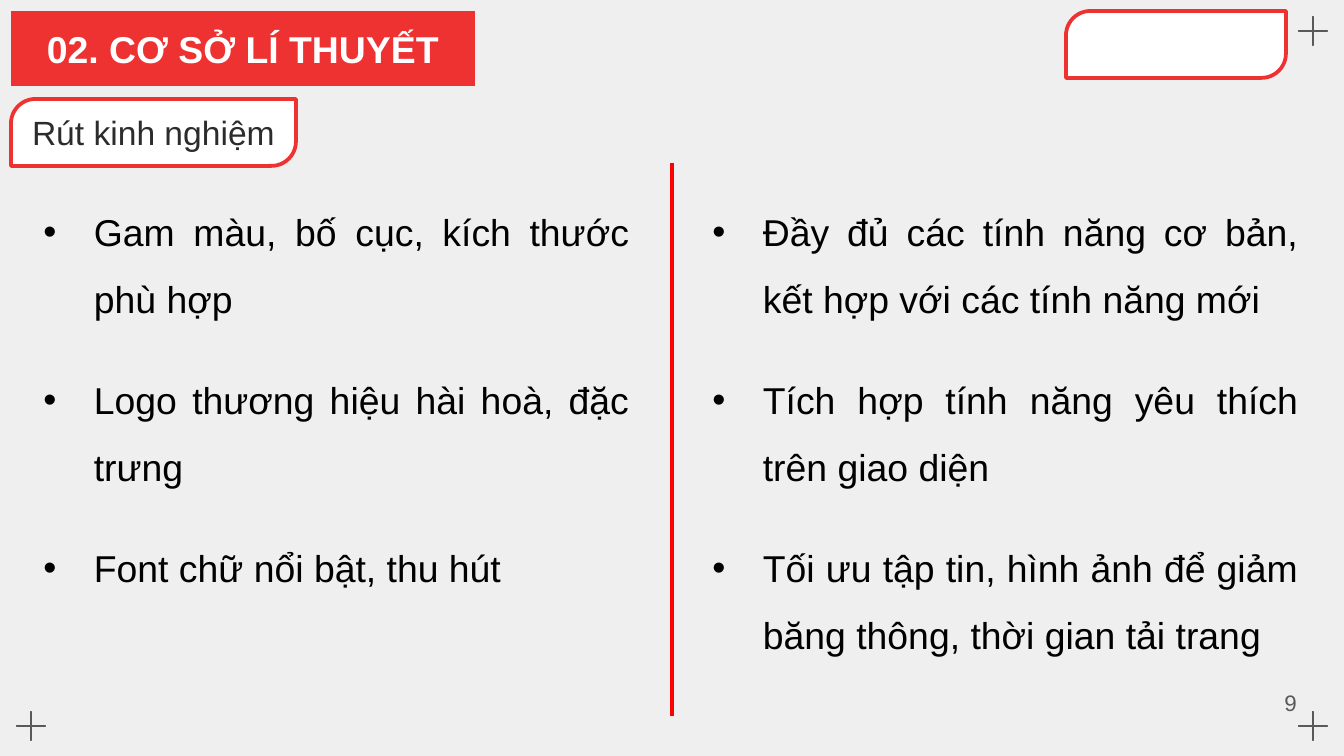
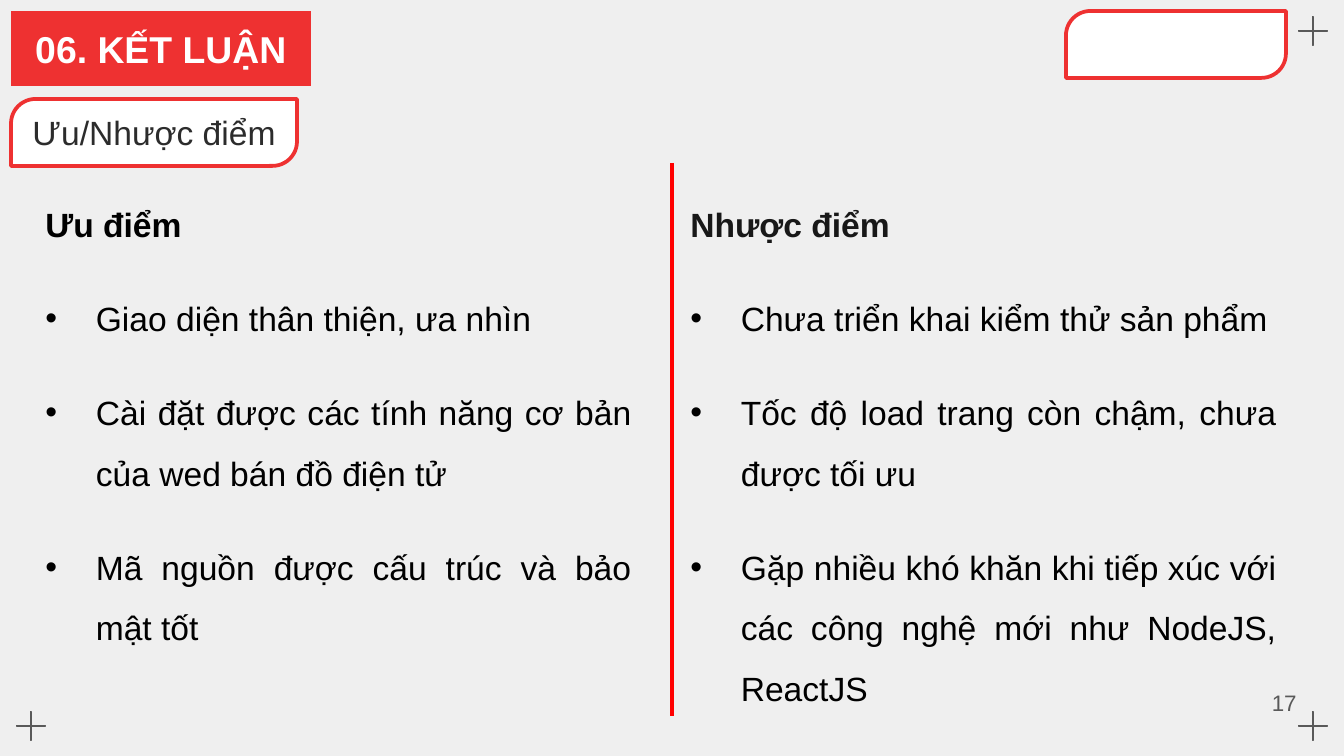
"""Build two two-column slides that share tabs, corner crosses and a divider."""
import copy
import pptx
import pptx.dml.color
import pptx.enum.shapes
import pptx.enum.text
import pptx.oxml
import pptx.oxml.ns
import pptx.util

PX = 914400 / 134.4
COLOURS = {
    "paper": "EFEFEF",
    "red": "EE3131",
    "divider": "FF0000",
    "white": "FFFFFF",
    "black": "000000",
    "soft_black": "181818",
    "subtitle": "2C2C2C",
    "grey": "595959",
}
RGB = {name: pptx.dml.color.RGBColor.from_string(value) for name, value in COLOURS.items()}
SHAPE = pptx.enum.shapes.MSO_SHAPE
ALIGN = pptx.enum.text.PP_ALIGN
MIDDLE = pptx.enum.text.MSO_ANCHOR.MIDDLE
NO_FIT = pptx.enum.text.MSO_AUTO_SIZE.NONE
DRAWING = pptx.oxml.ns.nsdecls("a")

PAGES = [
    {
        "title": "02. CƠ SỞ LÍ THUYẾT", "title_width": 464,
        "subtitle": "Rút kinh nghiệm", "subtitle_width": 285,
        "number": "9", "size": 20,
        "columns": [
            {"place": (30, 180, 613, 413), "items": [
                "Gam màu, bố cục, kích thước phù hợp",
                "Logo thương hiệu hài hoà, đặc trưng",
                "Font chữ nổi bật, thu hút"]},
            {"place": (699, 180, 613, 480), "items": [
                "Đầy đủ các tính năng cơ bản, kết hợp với các tính năng mới",
                "Tích hợp tính năng yêu thích trên giao diện",
                "Tối ưu tập tin, hình ảnh để giảm băng thông, thời gian tải trang"]},
        ],
    },
    {
        "title": "06. KẾT LUẬN", "title_width": 300,
        "subtitle": "Ưu/Nhược điểm", "subtitle_width": 286,
        "number": "17", "size": 18,
        "columns": [
            {"place": (32, 177, 613, 474), "heading": "Ưu điểm", "heading_colour": "black", "items": [
                "Giao diện thân thiện, ưa nhìn",
                "Cài đặt được các tính năng cơ bản của wed bán đồ điện tử",
                "Mã nguồn được cấu trúc và bảo mật tốt"]},
            {"place": (677, 177, 613, 535), "heading": "Nhược điểm", "heading_colour": "soft_black", "items": [
                "Chưa triển khai kiểm thử sản phẩm",
                "Tốc độ load trang còn chậm, chưa được tối ưu",
                "Gặp nhiều khó khăn khi tiếp xúc với các công nghệ mới như NodeJS, ReactJS"]},
        ],
    },
]


def px(*lengths):
    """Turn pixel lengths into EMU."""
    return [pptx.util.Emu(round(length * PX)) for length in lengths]


def write(para, text, size, colour, align, bold=False):
    """Fill a paragraph and format its run."""
    para.text = text
    para.alignment = align
    for span in para.runs:
        span.font.name = "Arial"
        span.font.size = pptx.util.Pt(size)
        span.font.bold = bold
        span.font.color.rgb = RGB[colour]


deck = pptx.Presentation()
deck.slide_width, deck.slide_height = px(1344, 756)
layout = deck.slide_layouts.get_by_name("Two Content")
layout.background.fill.solid()
layout.background.fill.fore_color.rgb = RGB["paper"]

for content in PAGES:
    page = deck.slides.add_slide(layout)

    tabs = []
    for left, top, width in [(1066, 11, 220), (11, 99, content["subtitle_width"])]:
        tab = page.shapes.add_shape(SHAPE.ROUND_2_DIAG_RECTANGLE, *px(left, top, width, 67))
        tab.adjustments[0] = 0.366
        tab.adjustments[1] = 0
        tab.shadow.inherit = False
        tab.fill.solid()
        tab.fill.fore_color.rgb = RGB["white"]
        tab.line.color.rgb = RGB["red"]
        tab.line.width = pptx.util.Pt(2)
        tabs.append(tab)
    subtitle = tabs[1]
    write(subtitle.text_frame.paragraphs[0], content["subtitle"], 18, "subtitle", ALIGN.CENTER)

    title = page.shapes.title
    title.left, title.top, title.width, title.height = px(11, 11, content["title_width"], 75)
    title.element.spPr.insert(1, copy.deepcopy(subtitle.element.spPr.prstGeom))
    title.fill.solid()
    title.fill.fore_color.rgb = RGB["red"]
    write(title.text_frame.paragraphs[0], content["title"], 20, "white", ALIGN.CENTER, True)

    number = page.shapes.add_textbox(*px(1008, 683, 302, 40))
    write(number.text_frame.paragraphs[0], content["number"], 12, "grey", ALIGN.RIGHT)

    for box in (title, subtitle, number):
        box.text_frame.word_wrap = True
        box.text_frame.auto_size = NO_FIT
        box.text_frame.vertical_anchor = MIDDLE
    for box in (title, subtitle):
        box.text_frame.margin_left = box.text_frame.margin_right = 0

    for index, column in enumerate(content["columns"], start=1):
        box = page.placeholders[index]
        box.left, box.top, box.width, box.height = px(*column["place"])
        frame = box.text_frame
        frame.word_wrap = True
        frame.auto_size = NO_FIT
        lines = [(item, "black", False) for item in column["items"]]
        if "heading" in column:
            lines.insert(0, (column["heading"], column["heading_colour"], True))
        for row, (text, colour, heading) in enumerate(lines):
            para = frame.add_paragraph() if row else frame.paragraphs[0]
            write(para, text, content["size"], colour, ALIGN.JUSTIFY, heading)
            para.line_spacing = 1.5
            para.space_before = pptx.util.Pt(0)
            para.space_after = pptx.util.Pt(18)
            settings = para._p.get_or_add_pPr()
            indent = 0 if heading else pptx.util.Inches(0.375)
            settings.set("marL", str(indent))
            settings.set("indent", str(-indent))
            bullet = "<a:buNone %s/>" if heading else '<a:buChar %s char="•"/>'
            settings.append(pptx.oxml.parse_xml(bullet % DRAWING))

    divider = page.shapes.add_connector(
        pptx.enum.shapes.MSO_CONNECTOR.STRAIGHT, *px(672, 163, 672, 716))
    divider.line.color.rgb = RGB["divider"]
    divider.line.width = pptx.util.Pt(2.25)
    divider.element.spPr.append(pptx.oxml.parse_xml("<a:effectLst %s/>" % DRAWING))

layout_tree = layout.placeholders[0].element.getparent()
corners = [(left, top) for top in (11, 706) for left in (11, 1293)]
for identifier, corner in enumerate(corners, start=101):
    cross = page.shapes.add_shape(SHAPE.MATH_PLUS, *px(*corner, 40, 40))
    cross.adjustments[0] = 0.007
    cross.shadow.inherit = False
    cross.fill.background()
    cross.line.color.rgb = RGB["grey"]
    cross.line.width = pptx.util.Pt(0.75)
    cross.element.nvSpPr.cNvPr.set("id", str(identifier))
    layout_tree.append(cross.element)

deck.save("out.pptx")
